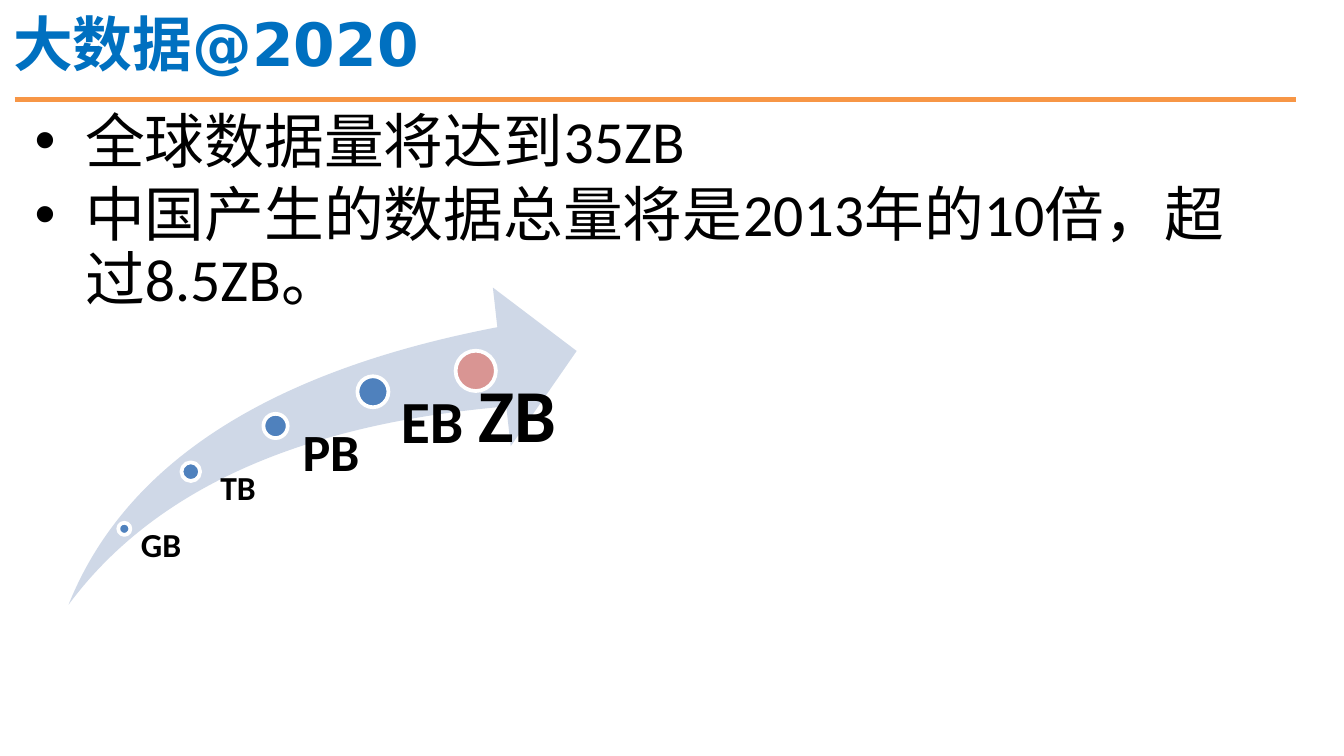
from dataclasses import dataclass

from lxml.etree import SubElement
from pptx import Presentation
from pptx.dml.color import RGBColor
from pptx.enum.shapes import MSO_CONNECTOR, MSO_SHAPE
from pptx.enum.text import MSO_AUTO_SIZE, PP_ALIGN
from pptx.oxml.ns import qn
from pptx.util import Pt


@dataclass(frozen=True)
class Theme:
    """Colours, fonts and type sizes of the slide."""
    title: str = "0070C0"
    rule: str = "F79646"
    text: str = "000000"
    swoosh: str = "CFD8E7"
    dot: str = "4F81BD"
    last: str = "D99593"
    edge: str = "FFFFFF"
    head: str = "DejaVu Sans"
    body: str = "Calibri"
    large: int = 32
    sizes: tuple = (18, 18, 28, 32, 40)


THEME = Theme()
UNITS = ("GB", "TB", "PB", "EB", "ZB")
SPOTS = ((66.6, 283.3), (102.2, 252.7), (147.6, 228.2), (199.8, 209.9), (254.9, 198.7))
WIDTHS = (6.5, 10, 13, 16.6, 21.6)
SPANS = (36, 45.4, 52.6, 54.7, 54.7)
FLOOR = 324


def paint(color, value):
    """Set a fill to one solid colour."""
    color.solid()
    color.fore_color.rgb = RGBColor.from_string(value)


def style(para, size, color, face, bold=False):
    """Set the font of a paragraph."""
    font = para.font
    font.size, font.name, font.bold = Pt(size), face, bold
    font.color.rgb = RGBColor.from_string(color)


def hang(para, depth, bullet=None):
    """Give a paragraph a hanging indent and an optional bullet."""
    props = para._p.get_or_add_pPr()
    props.set("marL", str(Pt(depth)))
    props.set("indent", str(-Pt(depth)))
    if bullet:
        SubElement(props, qn("a:buFont"), typeface="Arial")
        SubElement(props, qn("a:buChar"), char=bullet)


def add_box(slide, left, top, width, height, inset=(7.2, 3.6, 7.2, 3.6)):
    """Add a wrapping text box and return its frame."""
    frame = slide.shapes.add_textbox(Pt(left), Pt(top), Pt(width), Pt(height)).text_frame
    frame.word_wrap = True
    frame.margin_left, frame.margin_top, frame.margin_right, frame.margin_bottom = map(Pt, inset)
    return frame


def add_shape(slide, kind, left, top, width, height, fill):
    """Add a filled shape without a shadow or an outline."""
    shape = slide.shapes.add_shape(kind, Pt(left), Pt(top), Pt(width), Pt(height))
    shape.shadow.inherit = False
    paint(shape.fill, fill)
    shape.line.fill.background()
    return shape


def add_rule(slide):
    """Draw the line below the title."""
    line = slide.shapes.add_connector(MSO_CONNECTOR.STRAIGHT, Pt(7.9), Pt(53.3), Pt(694.1), Pt(53.3))
    line.line.width = Pt(2.75)
    paint(line.line.fill, THEME.rule)
    SubElement(line._element.spPr, qn("a:effectLst"))


def add_title(slide, text):
    """Add the title."""
    frame = add_box(slide, 0, 0, 711.4, 46.1)
    frame.auto_size = MSO_AUTO_SIZE.SHAPE_TO_FIT_TEXT
    para = frame.paragraphs[0]
    para.text = text
    hang(para, 27)
    style(para, THEME.large, THEME.title, THEME.head, True)


def add_list(slide, items):
    """Add the bulleted list."""
    frame = add_box(slide, 11.5, 56.2, 680.4, 136.8)
    for index, item in enumerate(items):
        para = frame.add_paragraph() if index else frame.paragraphs[0]
        para.text = item
        hang(para, 27, "•")
        para.line_spacing = 0.9
        if index:
            para.space_before = Pt(5)
        style(para, THEME.large, THEME.text, THEME.body)


def add_dot(slide, spot, width, fill):
    """Add a round mark centred on a spot."""
    left, top = (place - width / 2 for place in spot)
    dot = add_shape(slide, MSO_SHAPE.OVAL, left, top, width, width, fill)
    paint(dot.line.fill, THEME.edge)
    dot.line.width = Pt(2)


def add_label(slide, text, spot, span, inset, size):
    """Add a unit label to the lower right of a spot."""
    left, top = spot
    para = add_box(slide, left, top, span, FLOOR - top, (inset, 0, 0, 0)).paragraphs[0]
    para.text = text
    para.alignment = PP_ALIGN.CENTER
    para.line_spacing = 0.9
    style(para, size, THEME.text, THEME.body, True)


def add_growth(slide):
    """Draw the rising arrow with its marks and labels."""
    arrow = add_shape(slide, MSO_SHAPE.SWOOSH_ARROW, 36.7, 154.1, 272.2, 169.9, THEME.swoosh)
    arrow.adjustments[0] = arrow.adjustments[1] = 0.25
    for unit, spot, width, span, size in zip(UNITS, SPOTS, WIDTHS, SPANS, THEME.sizes):
        final = unit == UNITS[-1]
        add_dot(slide, spot, width, THEME.last if final else THEME.dot)
        place = (spot[0] - width / 2, spot[1] + 3.6) if final else spot
        add_label(slide, unit, place, span, width * 0.53, size)


def main():
    """Build and save the slide."""
    deck = Presentation()
    deck.slide_width, deck.slide_height = Pt(720), Pt(405)
    slide = deck.slides.add_slide(deck.slide_layouts[6])
    add_rule(slide)
    add_title(slide, "大数据@2020")
    add_list(slide, ("全球数据量将达到35ZB", "中国产生的数据总量将是2013年的10倍，超过8.5ZB。"))
    add_growth(slide)
    deck.save("out.pptx")


if __name__ == "__main__":
    main()
